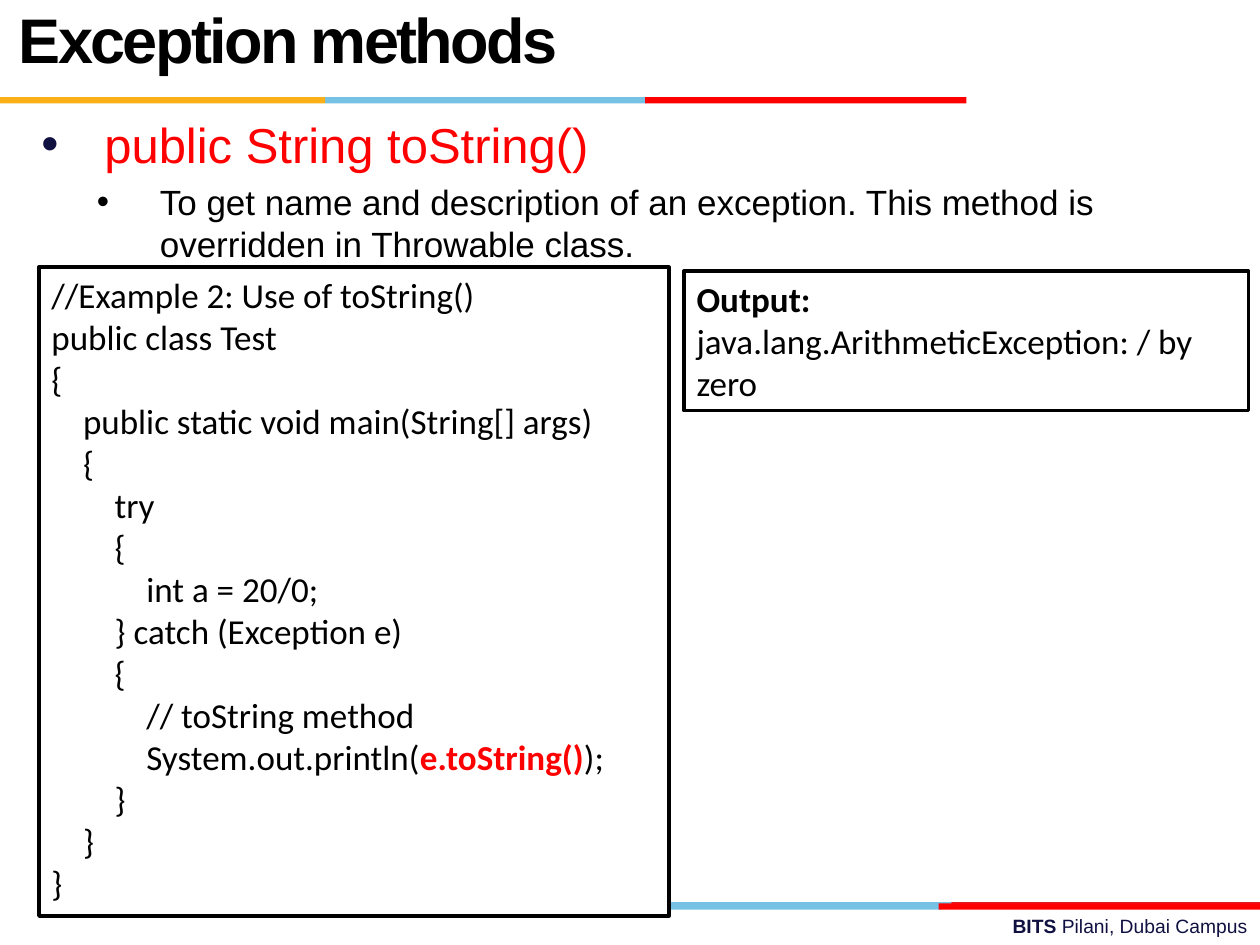
from dataclasses import dataclass

from lxml.etree import SubElement
from pptx import Presentation
from pptx.dml.color import RGBColor as RGB
from pptx.enum.shapes import MSO_SHAPE as SHAPE
from pptx.enum.text import MSO_ANCHOR as ANCHOR, PP_ALIGN as ALIGN
from pptx.oxml.ns import qn
from pptx.util import Inches, Pt


@dataclass(frozen=True)
class Theme:
    black: str = "000000"
    white: str = "FFFFFF"
    navy: str = "101141"
    red: str = "FF0000"
    dark_red: str = "E31C24"
    blue: str = "76C2E5"
    gold: str = "FCB017"
    heading_font: str = "Arial"
    code_font: str = "Calibri"
    title_size: int = 36
    topic_size: int = 28
    body_size: int = 20
    footer_size: int = 11


class SlideBuilder:
    def __init__(self, slide, theme):
        self.slide = slide
        self.theme = theme

    def bar(self, left, top, width, color, height=0.05):
        bar = self.slide.shapes.add_shape(
            SHAPE.RECTANGLE, Inches(left), Inches(top), Inches(width), Inches(height))
        bar.shadow.inherit = False
        bar.fill.solid()
        bar.fill.fore_color.rgb = RGB.from_string(color)
        bar.line.fill.background()
        return bar

    def text_frame(self, left, top, width, height, anchor=ANCHOR.TOP):
        box = self.slide.shapes.add_textbox(
            Inches(left), Inches(top), Inches(width), Inches(height))
        frame = box.text_frame
        frame.word_wrap = True
        frame.vertical_anchor = anchor
        return frame

    def run(self, paragraph, text, size, font, color, bold=False):
        run = paragraph.add_run()
        run.text = text
        run.font.size = Pt(size)
        run.font.name = font
        run.font.bold = bold
        run.font.color.rgb = RGB.from_string(color)
        return run

    def bullet(self, paragraph, margin, color, hanging=0.5):
        props = paragraph._p.get_or_add_pPr()
        props.set("marL", str(Inches(margin)))
        props.set("indent", str(-Inches(hanging)))
        bullet_color = SubElement(props, qn("a:buClr"))
        SubElement(bullet_color, qn("a:srgbClr"), val=color)
        SubElement(props, qn("a:buFont"), typeface=self.theme.heading_font)
        SubElement(props, qn("a:buChar"), char="•")

    def panel(self, left, top, width, height, lines):
        """Outlined box; each line is a list of (text, color, bold) runs."""
        panel = self.bar(left, top, width, self.theme.white, height)
        panel.line.color.rgb = RGB.from_string(self.theme.black)
        panel.line.width = Pt(2)
        frame = panel.text_frame
        frame.word_wrap = True
        frame.vertical_anchor = ANCHOR.TOP
        for index, line in enumerate(lines):
            paragraph = frame.add_paragraph() if index else frame.paragraphs[0]
            paragraph.alignment = ALIGN.LEFT
            for text, color, bold in line:
                self.run(paragraph, text, self.theme.body_size,
                         self.theme.code_font, color, bold)


CODE_BEFORE_CALL = """//Example 2: Use of toString()
public class Test
{
    public static void main(String[] args)
    {
        try
        {
            int a = 20/0;
        } catch (Exception e)
        {
            // toString method""".split("\n")
CODE_AFTER_CALL = ["        }", "    }", "}"]


def main():
    theme = Theme()
    deck = Presentation()
    deck.slide_width, deck.slide_height = Inches(10), Inches(7.5)
    builder = SlideBuilder(deck.slides.add_slide(deck.slide_layouts[6]), theme)

    # Footer
    campus = builder.text_frame(3.58, 7.21, 6.42, 0.29).paragraphs[0]
    campus.alignment = ALIGN.RIGHT
    for text, bold in (("BITS ", True), ("Pilani, Dubai Campus", False)):
        builder.run(campus, text, theme.footer_size, theme.heading_font, theme.navy, bold)

    # Colour bands: two layers at the foot, one under the title
    for left, top, width, color in (
        (5.06, 7.16, 2.55, theme.blue),
        (7.55, 7.16, 2.45, theme.dark_red),
        (4.92, 7.17, 2.55, theme.blue),
        (7.45, 7.17, 2.55, theme.red),
        (2.58, 0.77, 2.55, theme.blue),
        (0, 0.77, 2.58, theme.gold),
        (5.12, 0.77, 2.55, theme.red),
    ):
        builder.bar(left, top, width, color)

    # Method and its description
    body = builder.text_frame(0.23, 0.86, 9.6, 6.24)
    method = body.paragraphs[0]
    builder.bullet(method, 0.5, theme.navy)
    builder.run(method, "public String toString()", theme.topic_size,
                theme.heading_font, theme.red)
    description = body.add_paragraph()
    description.level = 1
    description.space_before = Pt(4)
    builder.bullet(description, 0.94, theme.black)
    builder.run(description, "To get name and description of an exception. "
                "This method is overridden in Throwable class.",
                theme.body_size, theme.heading_font, theme.black)

    # Title
    title = builder.text_frame(0.05, 0.2, 7.33, 0.31, ANCHOR.MIDDLE).paragraphs[0]
    title.line_spacing = Pt(36)
    heading = builder.run(title, "Exception methods", theme.title_size,
                          theme.heading_font, theme.black, bold=True)
    heading.font._element.set("spc", "-150")

    # Example code
    def plain(line):
        return [(line, theme.black, False)]

    call = [("            System.out.println(", theme.black, False),
            ("e.toString()", theme.red, True),
            (");", theme.black, False)]
    code = [*map(plain, CODE_BEFORE_CALL), call, *map(plain, CODE_AFTER_CALL)]
    builder.panel(0.31, 2.12, 5, 5.15, code)

    # Program output
    builder.panel(5.43, 2.15, 4.48, 1.11, [
        [("Output:", theme.black, True)],
        plain("java.lang.ArithmeticException: / by zero"),
    ])

    deck.save("out.pptx")


if __name__ == "__main__":
    main()
